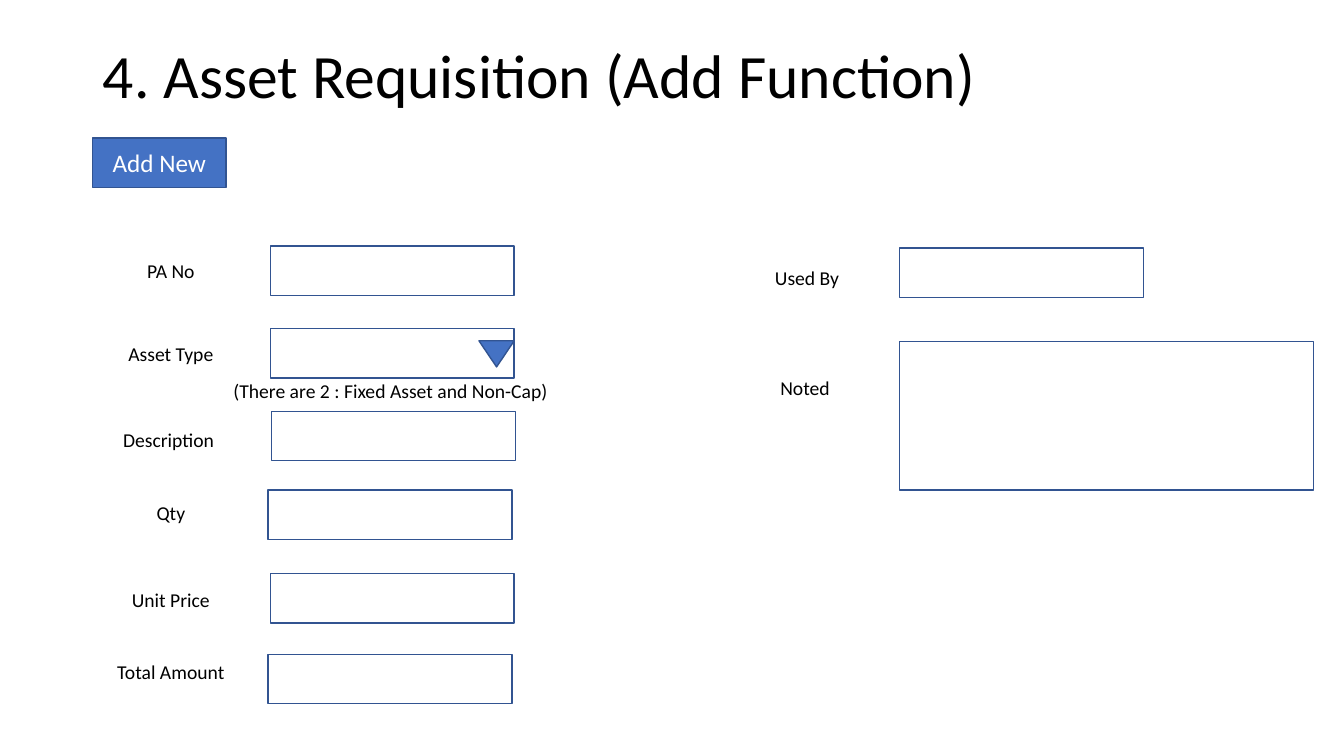
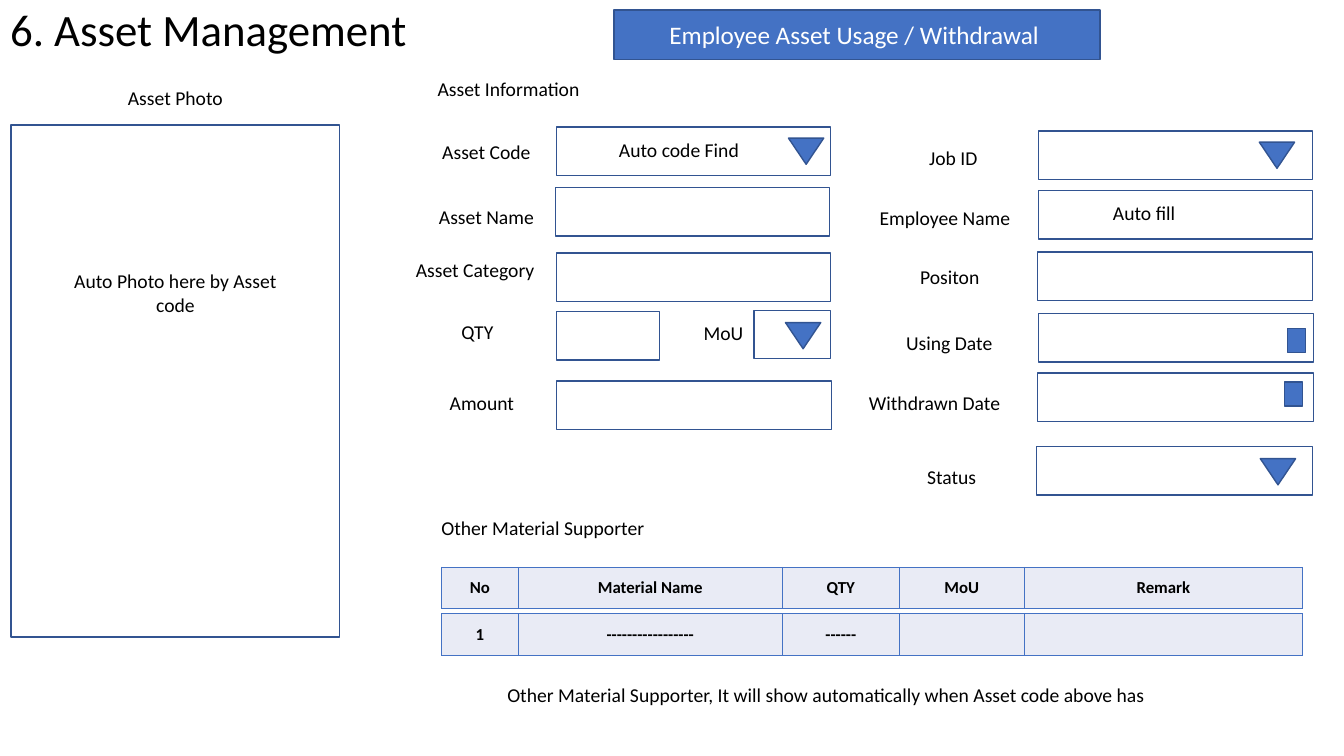
from lxml.etree import SubElement
from pptx import Presentation
from pptx.dml.color import RGBColor
from pptx.enum.shapes import MSO_SHAPE
from pptx.enum.text import MSO_ANCHOR, MSO_AUTO_SIZE, PP_ALIGN
from pptx.oxml.ns import qn
from pptx.util import Inches, Pt

BLACK = RGBColor(0x00, 0x00, 0x00)
WHITE = RGBColor(0xFF, 0xFF, 0xFF)
BLUE = RGBColor(0x44, 0x72, 0xC4)
NAVY = RGBColor(0x32, 0x54, 0x91)
PALE = RGBColor(0xE9, 0xEB, 0xF5)
FONT = "Calibri"
ROW = 0.49


def write(frame, text, size=14, color=BLACK, bold=False,
          align=PP_ALIGN.CENTER, anchor=MSO_ANCHOR.MIDDLE, space=None):
    frame.word_wrap = True
    frame.vertical_anchor = anchor
    line = frame.paragraphs[0]
    line.alignment = align
    line.line_spacing = space
    run = line.add_run()
    run.text = text
    font = run.font
    font.name = FONT
    font.size = Pt(size)
    font.bold = bold
    font.color.rgb = color


class Form:
    def __init__(self, deck):
        self.deck = deck
        self.slide = None

    def start(self, text, left, top, width, height, size):
        self.slide = self.deck.slides.add_slide(self.deck.slide_layouts[5])
        title = self.slide.shapes.title
        title.left, title.top = Inches(left), Inches(top)
        title.width, title.height = Inches(width), Inches(height)
        title.text_frame.auto_size = MSO_AUTO_SIZE.NONE
        write(title.text_frame, text, size=size, align=PP_ALIGN.LEFT,
              anchor=MSO_ANCHOR.TOP, space=0.9)

    def label(self, text, left, top, width=1.57):
        box = self.slide.shapes.add_textbox(
            Inches(left), Inches(top), Inches(width), Inches(ROW))
        write(box.text_frame, text)

    def shape(self, left, top, width, height, kind=MSO_SHAPE.RECTANGLE, fill=None):
        item = self.slide.shapes.add_shape(
            kind, Inches(left), Inches(top), Inches(width), Inches(height))
        item.shadow.inherit = False
        item.line.color.rgb = NAVY
        item.line.width = Pt(1)
        if fill is None:
            item.fill.background()
        else:
            item.fill.solid()
            item.fill.fore_color.rgb = fill
        return item

    def button(self, text, left, top, width):
        item = self.shape(left, top, width, ROW, fill=BLUE)
        write(item.text_frame, text, size=18, color=WHITE)

    def arrow(self, left, top):
        item = self.shape(left, top, 0.35, 0.26,
                          MSO_SHAPE.ISOSCELES_TRIANGLE, BLUE)
        item.rotation = 180

    def picker(self, left, top):
        self.shape(left, top, 0.18, 0.24, fill=BLUE)

    def table(self, left, top, height, widths, texts):
        grid = self.slide.shapes.add_table(
            1, len(widths), Inches(left), Inches(top),
            Inches(sum(widths)), Inches(height)).table
        grid.first_row = grid.horz_banding = False
        for index, (width, text) in enumerate(zip(widths, texts)):
            grid.columns[index].width = Inches(width)
            cell = grid.cell(0, index)
            self.border(cell)
            cell.fill.solid()
            cell.fill.fore_color.rgb = PALE
            cell.vertical_anchor = MSO_ANCHOR.MIDDLE
            if text:
                write(cell.text_frame, text, size=12, bold=True, anchor=None)

    def border(self, cell):
        props = cell._tc.get_or_add_tcPr()
        for side in ("a:lnL", "a:lnR", "a:lnT", "a:lnB"):
            edge = SubElement(props, qn(side), w=str(Pt(1)))
            fill = SubElement(edge, qn("a:solidFill"))
            SubElement(fill, qn("a:srgbClr"), val=str(BLUE))


def request(form):
    form.start("4. Asset Requisition (Add Function)", 0.92, 0.4, 11.5, 0.85, 44)
    form.button("Add New", 0.92, 1.37, 1.32)
    for text, top, left, mid in (
            ("PA No", 2.44, 2.68, 2.44),
            ("Asset Type", 3.26, 2.68, 3.26),
            ("Description ", 4.12, 2.69, 4.08),
            ("Qty", 4.84, 2.66, 4.86),
            ("Unit Price", 5.7, 2.68, 5.69),
            ("Total Amount", 6.42, 2.66, 6.49)):
        form.label(text, 0.91, top)
        form.shape(left, mid, 2.42, ROW)
    form.arrow(4.75, 3.38)
    form.label("(There are 2 : Fixed Asset and Non-Cap)", 2.06, 3.63, 3.63)
    form.label("Used By", 7.22, 2.51)
    form.shape(8.92, 2.46, 2.42, ROW)
    form.label("Noted", 7.2, 3.6)
    form.shape(8.92, 3.39, 4.11, 1.47)


def manage(form):
    form.start("6. Asset Management", 0, 0.03, 4.38, 0.59, 32)
    form.button("Employee Asset Usage / Withdrawal ", 6.09, 0.1, 4.82)
    form.shape(0.11, 1.24, 3.26, 5.08)
    for left, top, width in (
            (5.52, 1.26, 2.72), (5.51, 1.86, 2.72), (5.52, 2.51, 2.72),
            (5.52, 3.09, 1.02), (7.48, 3.08, 0.76), (5.52, 3.78, 2.73),
            (10.3, 1.3, 2.72), (10.3, 1.89, 2.72), (10.29, 2.5, 2.73),
            (10.3, 3.11, 2.73), (10.29, 3.7, 2.74), (10.28, 4.43, 2.74)):
        form.shape(left, top, width, 0.48)
    for left, top in ((7.82, 1.37), (7.79, 3.2), (12.49, 1.41), (12.5, 4.55)):
        form.arrow(left, top)
    for left, top in ((12.77, 3.26), (12.74, 3.79)):
        form.picker(left, top)
    for text, left, top, width in (
            ("Asset Photo", 1.04, 0.72, 1.4),
            ("Auto Photo here by Asset code", 0.48, 2.66, 2.52),
            ("Asset Information", 4.06, 0.63, 1.97),
            ("Asset Code", 4.04, 1.26, 1.57),
            ("Auto code Find", 5.7, 1.24, 2.07),
            ("Asset Name", 4.04, 1.9, 1.57),
            ("Asset Category ", 3.95, 2.43, 1.57),
            ("QTY", 3.95, 3.05, 1.57),
            ("MoU", 6.53, 3.06, 1.29),
            ("Amount", 3.86, 3.75, 1.84),
            ("Job ID", 8.57, 1.32, 1.77),
            ("Employee Name ", 8.51, 1.91, 1.77),
            ("Auto fill ", 10.34, 1.86, 2.06),
            ("Positon", 8.5, 2.5, 1.84),
            ("Using Date", 8.55, 3.15, 1.73),
            ("Withdrawn Date", 8.35, 3.75, 1.84),
            ("Status ", 8.65, 4.48, 1.62),
            ("Other Material Supporter", 4.08, 4.99, 2.61),
            ("Other Material Supporter, It will show automatically when "
             "Asset code above has", 4.78, 6.65, 6.83)):
        form.label(text, left, top, width)
    widths = (0.76, 2.62, 1.16, 1.24, 2.76)
    for top, texts in (
            (5.63, ("No", "Material Name", "QTY", "MoU", "Remark")),
            (6.09, ("1", "-" * 17, "-" * 6, "", ""))):
        form.table(4.38, top, 0.41, widths, texts)


def main():
    deck = Presentation()
    deck.slide_width, deck.slide_height = Inches(13.33), Inches(7.5)
    form = Form(deck)
    request(form)
    manage(form)
    deck.save("out.pptx")


if __name__ == "__main__":
    main()
